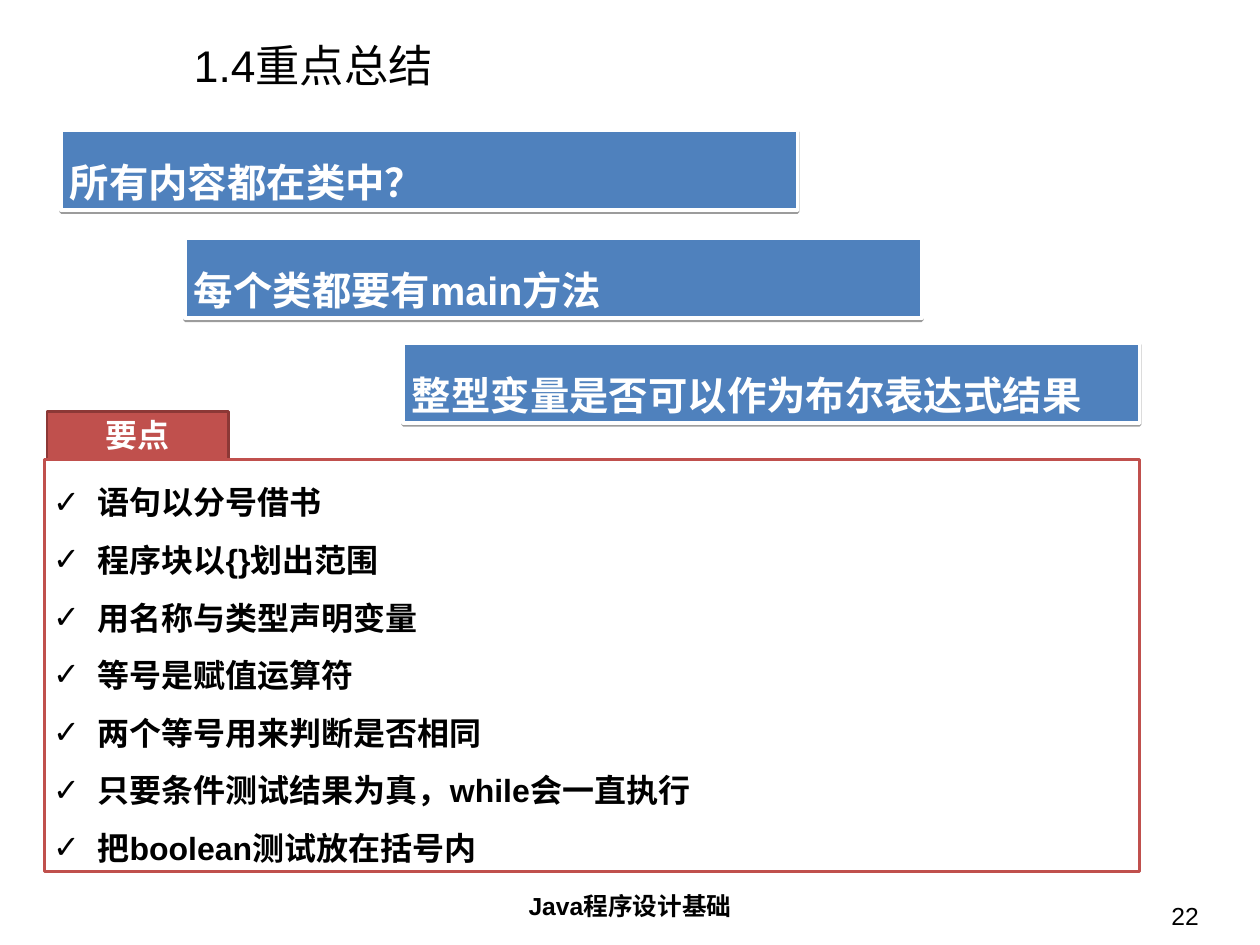
from lxml.etree import SubElement
from pptx import Presentation
from pptx.dml.color import RGBColor
from pptx.enum.shapes import MSO_SHAPE
from pptx.enum.text import MSO_ANCHOR, MSO_AUTO_SIZE, PP_ALIGN
from pptx.oxml import parse_xml
from pptx.oxml.ns import nsdecls, qn
from pptx.util import Pt


def rgb(value):
    return RGBColor.from_string(value)


def write(box, lines, size, color="000000", bold=True, align=PP_ALIGN.LEFT,
          spacing=1.0, inset=(7.2, 3.6), anchor=MSO_ANCHOR.TOP, bullet=None):
    frame = box.text_frame
    frame.text = "\n".join(lines)
    frame.word_wrap = True
    frame.auto_size = MSO_AUTO_SIZE.NONE
    frame.vertical_anchor = anchor
    frame.margin_left = frame.margin_right = Pt(inset[0])
    frame.margin_top = frame.margin_bottom = Pt(inset[1])
    for para in frame.paragraphs:
        para.alignment = align
        para.line_spacing = spacing
        para.space_before = Pt(0)
        if bullet:
            properties = para._p.get_or_add_pPr()
            properties.set("marL", str(Pt(36)))
            properties.set("indent", str(-Pt(36)))
            bullet_color = SubElement(properties, qn("a:buClr"))
            SubElement(bullet_color, qn("a:srgbClr"), val=color)
            SubElement(properties, qn("a:buFont"), typeface="Arial")
            SubElement(properties, qn("a:buChar"), char=bullet)
        for span in para.runs:
            span.font.name = "Arial"
            span.font.size = Pt(size)
            span.font.bold = bold
            span.font.color.rgb = rgb(color)


deck = Presentation()
deck.slide_width, deck.slide_height = Pt(1023.84), Pt(767.52)
page = deck.slides.add_slide(deck.slide_layouts[1])
title, points = page.placeholders

# Title
title.left, title.top, title.width, title.height = Pt(147.6), Pt(32.4), Pt(851.8), Pt(41)
write(title, ["1.4重点总结"], 36, bold=False, inset=(10, 5), anchor=MSO_ANCHOR.MIDDLE)

# Footer and page number
footers = [
    ("Java程序设计基础", 349.9, 718.6, 324, True, PP_ALIGN.CENTER),
    ("22", 745.2, 726.5, 239, False, PP_ALIGN.RIGHT),
]
for text, left, top, width, bold, align in footers:
    box = page.shapes.add_textbox(Pt(left), Pt(top), Pt(width), Pt(39.6))
    write(box, [text], 20, bold=bold, align=align, inset=(10, 5))

# Question banners with a thin shadow below
SHADOW = (f'<a:outerShdw {nsdecls("a")} blurRad="0" dist="{Pt(1.6)}" dir="5400000" '
          'rotWithShape="0"><a:srgbClr val="000000"><a:alpha val="38000"/>'
          '</a:srgbClr></a:outerShdw>')
banners = [
    ("所有内容都在类中？", 49.7, 105.8),
    ("每个类都要有main方法", 150.5, 193.7),
    ("整型变量是否可以作为布尔表达式结果", 327.6, 278.6),
]
for text, left, top in banners:
    banner = page.shapes.add_shape(MSO_SHAPE.RECTANGLE, Pt(left), Pt(top), Pt(598.5), Pt(64.8))
    banner.fill.solid()
    banner.fill.fore_color.rgb = rgb("4F81BD")
    banner.line.color.rgb = rgb("FFFFFF")
    banner.line.width = Pt(3)
    banner.shadow.inherit = False
    banner.element.spPr.find(qn("a:effectLst")).append(parse_xml(SHADOW))
    write(banner, [text], 32, "FFFFFF", spacing=1.5)

# Key points: label tab behind the framed list
label = page.shapes.add_shape(MSO_SHAPE.RECTANGLE, Pt(38.2), Pt(334.1), Pt(147.6), Pt(38.9))
label.shadow.inherit = False
points.element.addprevious(label.element)
points.left, points.top, points.width, points.height = Pt(36), Pt(373), Pt(889.9), Pt(334.8)
for panel, fill, line in [(label, "C0504D", "8C3836"), (points, "FFFFFF", "C0504D")]:
    panel.fill.solid()
    panel.fill.fore_color.rgb = rgb(fill)
    panel.line.color.rgb = rgb(line)
    panel.line.width = Pt(2)
write(label, ["要点"], 26, "FFFFFF", align=PP_ALIGN.CENTER)
write(points, [
    "语句以分号借书",
    "程序块以{}划出范围",
    "用名称与类型声明变量",
    "等号是赋值运算符",
    "两个等号用来判断是否相同",
    "只要条件测试结果为真，while会一直执行",
    "把boolean测试放在括号内",
], 26, spacing=1.5, bullet="✓")

deck.save("out.pptx")
